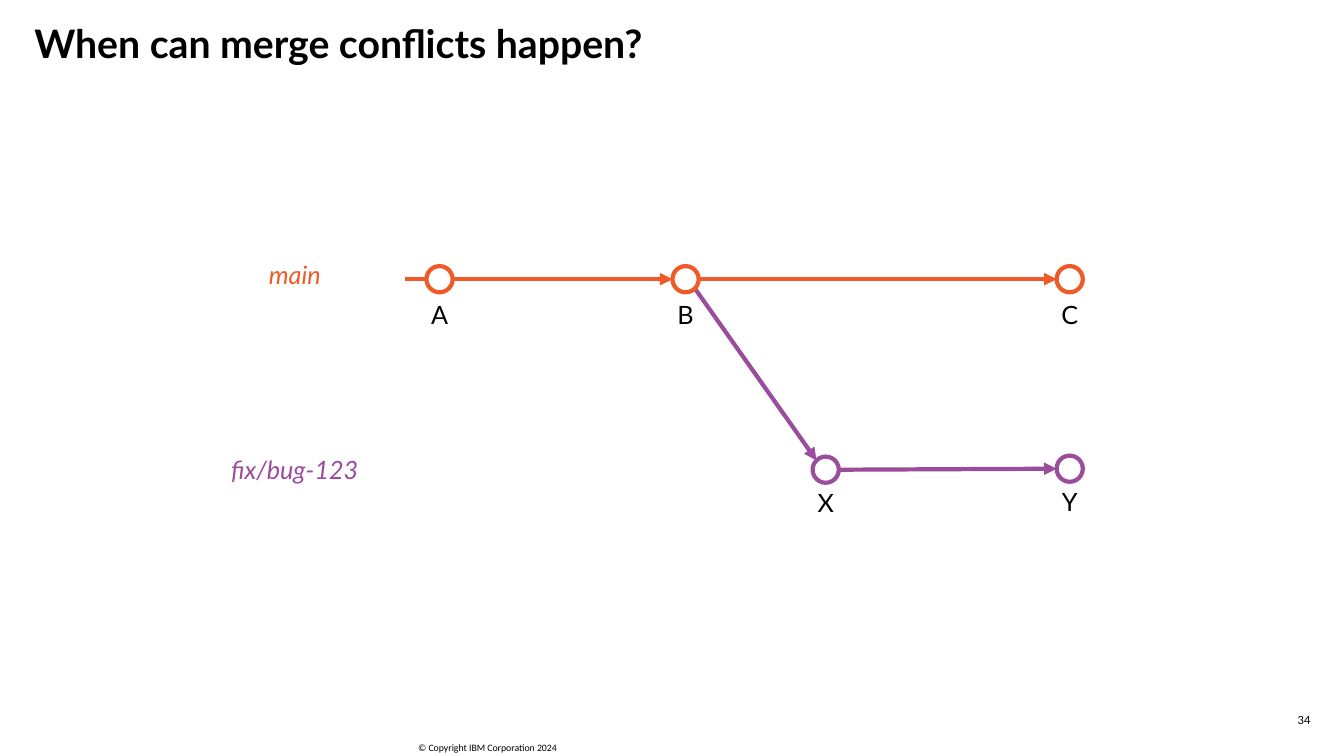
"""Build the slide that shows when merge conflicts can happen."""
import math
from dataclasses import dataclass

import pptx
import pptx.dml.color
import pptx.enum.shapes
import pptx.enum.text
import pptx.oxml
import pptx.oxml.ns
import pptx.util

Inches = pptx.util.Inches
ALIGN = pptx.enum.text.PP_ALIGN
ANCHOR = pptx.enum.text.MSO_ANCHOR


@dataclass(frozen=True)
class Theme:
    """Fonts, colours and type sizes."""
    font: str = "Lato"
    footer_font: str = "Calibri"
    text: str = "000000"
    main: str = "F05A28"
    fix: str = "9B4C9C"
    title_size: int = 28
    label_size: int = 18
    number_size: int = 8
    footer_size: int = 7
    line_width: int = 3


THEME = Theme()
TITLE = "When can merge conflicts happen?"
COPYRIGHT = "© Copyright IBM Corporation 2024"
NUMBER = "34"
BRANCHES = {
    "main": {"color": THEME.main, "name_top": 2.52, "label_gap": 0.15},
    "fix/bug-123": {"color": THEME.fix, "name_top": 4.46, "label_gap": 0.13},
}
COMMITS = {
    "A": ("main", 4.36, 2.77),
    "B": ("main", 6.80, 2.77),
    "C": ("main", 10.61, 2.77),
    "X": ("fix/bug-123", 8.19, 4.66),
    "Y": ("fix/bug-123", 10.61, 4.65),
}
ARROWS = [("A", "B"), ("B", "C"), ("B", "X"), ("X", "Y")]
RADIUS = 0.13
STUB = 0.21
LABEL_W, LABEL_H = 0.45, 0.4
NAME_LEFT, NAME_W = 2.16, 1.53


def rgb(color):
    """Return a colour object."""
    return pptx.dml.color.RGBColor.from_string(color)


def write(tf, text, size, color=THEME.text, font=THEME.font, align=ALIGN.LEFT,
          bold=False, italic=False):
    """Add one styled run to the first paragraph."""
    tf.word_wrap = True
    p = tf.paragraphs[0]
    p.alignment = align
    r = p.add_run()
    r.text = text
    r.font.name = font
    r.font.size = pptx.util.Pt(size)
    r.font.bold = bold
    r.font.italic = italic
    r.font.color.rgb = rgb(color)
    return p


def no_insets(tf):
    """Clear the inner margins."""
    tf.margin_left = tf.margin_top = tf.margin_right = tf.margin_bottom = 0


def add_text(s, box, text, size, **style):
    """Add a text box and return its frame."""
    tf = s.shapes.add_textbox(*map(Inches, box)).text_frame
    write(tf, text, size, **style)
    return tf


def add_line(s, start, end, color, arrow=True):
    """Add a straight line, with an arrowhead if wanted."""
    kind = pptx.enum.shapes.MSO_CONNECTOR.STRAIGHT
    line = s.shapes.add_connector(kind, *map(Inches, (*start, *end)))
    line.line.color.rgb = rgb(color)
    line.line.width = pptx.util.Pt(THEME.line_width)
    if arrow:
        head = pptx.oxml.ns.qn("a:tailEnd")
        line.line._get_or_add_ln().append(
            line._element.makeelement(head, {"type": "triangle"}))
    effects = pptx.oxml.ns.qn("a:effectLst")
    sp_pr = line._element.spPr
    sp_pr.append(sp_pr.makeelement(effects, {}))


def add_arrow(s, source, target):
    """Join the rims of two commits."""
    source_branch, x1, y1 = COMMITS[source]
    branch, x2, y2 = COMMITS[target]
    if branch == source_branch:
        dx, dy = RADIUS, 0
    else:
        dx = dy = RADIUS * math.cos(math.pi / 4)
    add_line(s, (x1 + dx, y1 + dy), (x2 - dx, y2 - dy),
             BRANCHES[branch]["color"])


def add_commit(s, name):
    """Draw a commit ring with its letter below."""
    branch, x, y = COMMITS[name]
    box = (x - RADIUS, y - RADIUS, 2 * RADIUS, 2 * RADIUS)
    sp = s.shapes.add_shape(pptx.enum.shapes.MSO_SHAPE.OVAL,
                            *map(Inches, box))
    sp.shadow.inherit = False
    sp.fill.background()
    sp.line.color.rgb = rgb(BRANCHES[branch]["color"])
    sp.line.width = pptx.util.Pt(THEME.line_width)
    top = y + BRANCHES[branch]["label_gap"]
    add_text(s, (x - LABEL_W / 2, top, LABEL_W, LABEL_H), name,
             THEME.label_size, align=ALIGN.CENTER)


def add_title(s):
    """Place the title in its placeholder."""
    sp = s.shapes.title
    sp.left, sp.top, sp.width, sp.height = map(
        Inches, (0.34, 0.24, 11.13, 0.43))
    tf = sp.text_frame
    no_insets(tf)
    tf.vertical_anchor = ANCHOR.TOP
    p = write(tf, TITLE, THEME.title_size, bold=True)
    p.line_spacing = 0.9


def main():
    """Assemble and save the slide."""
    prs = pptx.Presentation()
    prs.slide_width, prs.slide_height = Inches(13.33), Inches(7.5)
    s = prs.slides.add_slide(prs.slide_layouts[5])
    add_title(s)
    add_text(s, (4.05, 7.31, 1.77, 0.22), COPYRIGHT, THEME.footer_size,
             font=THEME.footer_font)
    tf = add_text(s, (10, 7.04, 3, 0.2), NUMBER, THEME.number_size,
                  align=ALIGN.RIGHT)
    no_insets(tf)
    tf.vertical_anchor = ANCHOR.MIDDLE

    for name, branch in BRANCHES.items():
        add_text(s, (NAME_LEFT, branch["name_top"], NAME_W, LABEL_H), name,
                 THEME.label_size, color=branch["color"],
                 align=ALIGN.CENTER, italic=True)
    for source, target in ARROWS:
        add_arrow(s, source, target)
    _, x, y = COMMITS["A"]
    add_line(s, (x - RADIUS - STUB, y), (x - RADIUS, y), THEME.main,
             arrow=False)
    for name in COMMITS:
        add_commit(s, name)
    prs.save("out.pptx")


if __name__ == "__main__":
    main()
